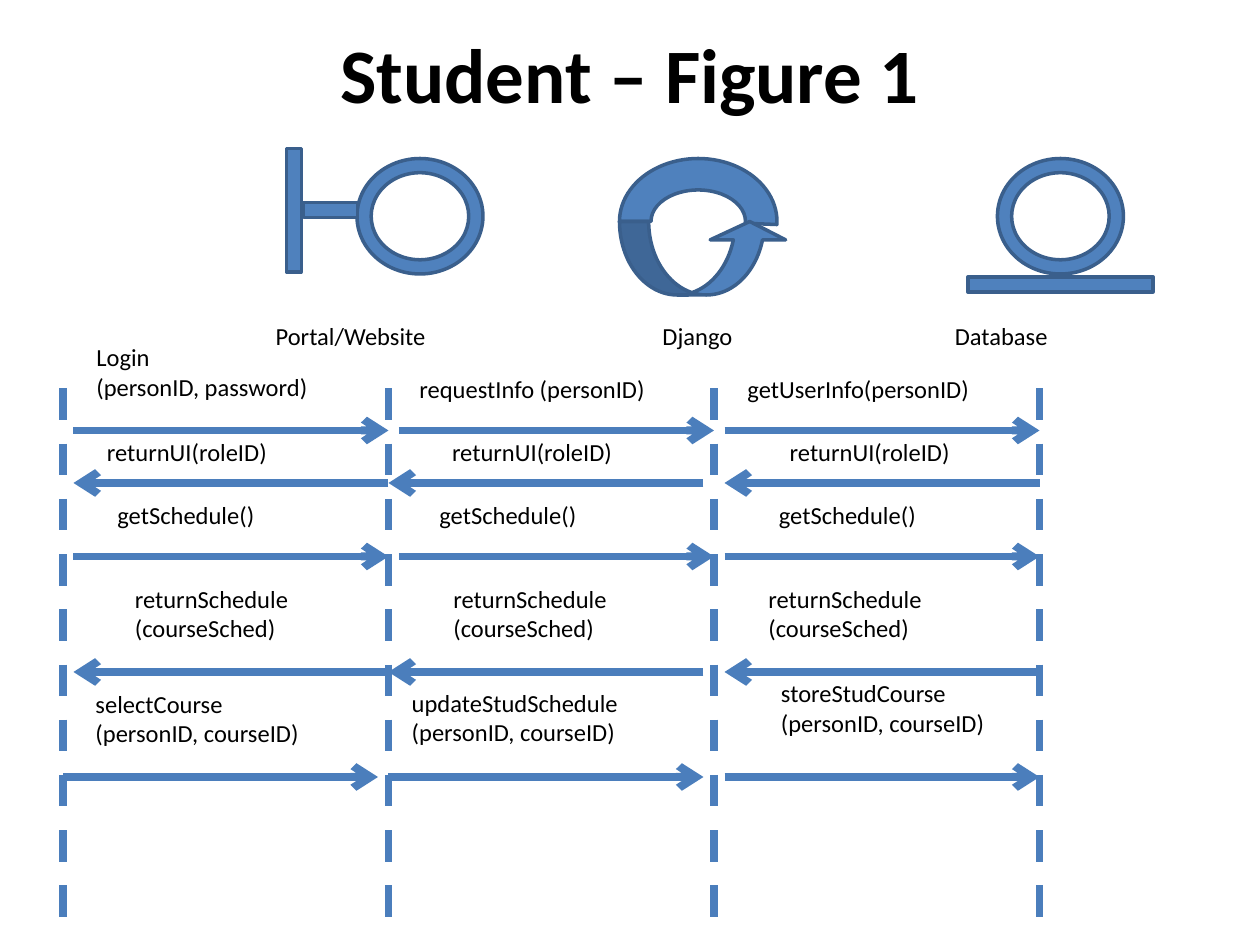
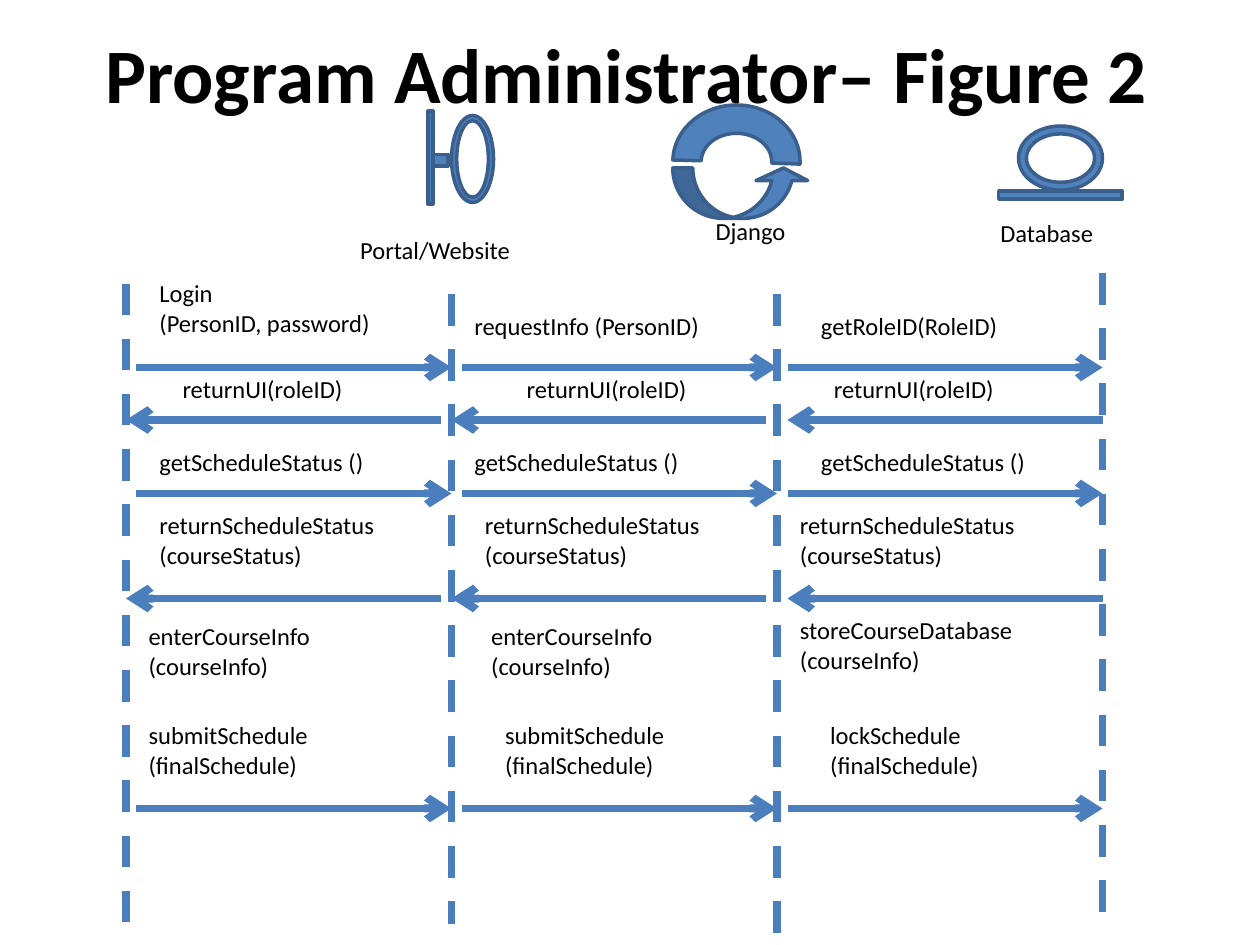
from dataclasses import dataclass
from typing import Optional

from lxml.etree import SubElement
from pptx import Presentation
from pptx.dml.color import RGBColor
from pptx.enum.dml import MSO_LINE
from pptx.enum.shapes import MSO_CONNECTOR, MSO_SHAPE
from pptx.enum.text import MSO_ANCHOR, PP_ALIGN
from pptx.oxml.ns import qn
from pptx.util import Pt

# Shared look, all lengths in points
COLORS = {"fill": "4F81BD", "outline": "3A5F8C", "line": "4B7EBC", "text": "000000"}
FONT = "Calibri"
LANE_WIDTH = 186
ARROW_LENGTH = 180
LIFELINE_BOTTOMS = (528, 528, 534, 534)
TITLE_ONLY_LAYOUT = 5
RING = (0.123,)
LOOP_ARROW = (0.397, 1.026, 0.25)


@dataclass
class IconPart:
    kind: MSO_SHAPE
    left: float
    top: float
    width: float
    height: float
    adjustments: tuple[float, ...] = ()
    rotation: int = 0


@dataclass
class Caption:
    text: str
    left: float
    top: float
    width: float
    wrap: bool = False


@dataclass
class MessageRow:
    captions: list[Caption]
    arrow_y: Optional[float] = None
    offsets: tuple[int, int, int] = (6, 6, 6)
    leftward: bool = False


@dataclass
class Diagram:
    title: str
    title_left: float
    title_width: float
    first_lifeline: float
    lifeline_tops: tuple[float, ...]
    icons: list[IconPart]
    participants: list[Caption]
    rows: list[MessageRow]


def repeat(text: str, lefts: tuple[float, ...], top: float, width: float,
           wrap: bool = False) -> list[Caption]:
    return [Caption(text, left, top, width, wrap) for left in lefts]


def color(name: str) -> RGBColor:
    return RGBColor.from_string(COLORS[name])


def add_text(paragraph, text: str, size: float, bold: bool = False) -> None:
    run = paragraph.add_run()
    run.text = text
    run.font.name = FONT
    run.font.size = Pt(size)
    run.font.bold = bold
    run.font.color.rgb = color("text")


def add_title(slide, text: str, left: float, width: float) -> None:
    shape = slide.shapes.title
    shape.left, shape.top, shape.width, shape.height = Pt(left), Pt(11.5), Pt(width), Pt(60.5)
    frame = shape.text_frame
    frame.word_wrap = False
    frame.vertical_anchor = MSO_ANCHOR.TOP
    paragraph = frame.paragraphs[0]
    paragraph.alignment = PP_ALIGN.CENTER
    add_text(paragraph, text, 44, bold=True)


def add_caption(slide, caption: Caption) -> None:
    lines = caption.text.split("\n")
    height = 24.2 if len(lines) == 1 else 41.2
    shape = slide.shapes.add_textbox(
        Pt(caption.left), Pt(caption.top), Pt(caption.width), Pt(height))
    frame = shape.text_frame
    frame.word_wrap = caption.wrap
    for index, line in enumerate(lines):
        paragraph = frame.paragraphs[0] if index == 0 else frame.add_paragraph()
        add_text(paragraph, line, 14)


def add_icon_part(slide, part: IconPart) -> None:
    shape = slide.shapes.add_shape(
        part.kind, Pt(part.left), Pt(part.top), Pt(part.width), Pt(part.height))
    shape.shadow.inherit = False
    shape.rotation = part.rotation
    for index, value in enumerate(part.adjustments):
        shape.adjustments[index] = value
    shape.fill.solid()
    shape.fill.fore_color.rgb = color("fill")
    shape.line.color.rgb = color("outline")
    shape.line.width = Pt(2)


def add_line(slide, start: tuple[float, float], end: tuple[float, float],
             arrow: bool) -> None:
    connector = slide.shapes.add_connector(
        MSO_CONNECTOR.STRAIGHT, Pt(start[0]), Pt(start[1]), Pt(end[0]), Pt(end[1]))
    connector.line.color.rgb = color("line")
    connector.line.width = Pt(4.5)
    if arrow:
        SubElement(connector.line._get_or_add_ln(), qn("a:tailEnd"), type="arrow")
    else:
        connector.line.dash_style = MSO_LINE.DASH
    SubElement(connector._element.spPr, qn("a:effectLst"))


def add_message_row(slide, row: MessageRow, first_lifeline: float) -> None:
    if row.arrow_y is not None:
        for lane, offset in enumerate(row.offsets):
            left = first_lifeline + lane * LANE_WIDTH + offset
            start, end = (left, row.arrow_y), (left + ARROW_LENGTH, row.arrow_y)
            if row.leftward:
                start, end = end, start
            add_line(slide, start, end, arrow=True)
    for caption in row.captions:
        add_caption(slide, caption)


def add_diagram(presentation, diagram: Diagram) -> None:
    slide = presentation.slides.add_slide(presentation.slide_layouts[TITLE_ONLY_LAYOUT])
    add_title(slide, diagram.title, diagram.title_left, diagram.title_width)
    for part in diagram.icons:
        add_icon_part(slide, part)
    for caption in diagram.participants:
        add_caption(slide, caption)
    for index, (top, bottom) in enumerate(zip(diagram.lifeline_tops, LIFELINE_BOTTOMS)):
        x = diagram.first_lifeline + index * LANE_WIDTH
        add_line(slide, (x, top), (x, bottom), arrow=False)
    for row in diagram.rows:
        add_message_row(slide, row, diagram.first_lifeline)


# Student sequence
student = Diagram(
    title="Student – Figure 1", title_left=185.8, title_width=348.5,
    first_lifeline=36, lifeline_tops=(222, 222, 222, 222),
    icons=[
        IconPart(MSO_SHAPE.DONUT, 204, 90.6, 72, 66, RING),
        IconPart(MSO_SHAPE.MATH_MINUS, 168, 102, 42, 36),
        IconPart(MSO_SHAPE.MATH_MINUS, 120, 102, 96, 36, rotation=270),
        IconPart(MSO_SHAPE.BLOCK_ARC, 354, 90.6, 90, 72, (108, 1.328, 0.25)),
        IconPart(MSO_SHAPE.CURVED_UP_ARROW, 354, 126.6, 96, 42, LOOP_ARROW),
        IconPart(MSO_SHAPE.DONUT, 570, 90.6, 72, 66, RING),
        IconPart(MSO_SHAPE.MATH_MINUS, 534, 144.6, 144, 36),
    ],
    participants=[
        Caption("Portal/Website", 150.4, 180, 101.5),
        Caption("Django", 371.5, 180, 54.7),
        Caption("Database", 538.5, 180, 68.4),
    ],
    rows=[
        MessageRow([Caption("Login\n(personID, password)", 48, 192, 136),
                    Caption("requestInfo (personID)", 232.6, 210, 144.7),
                    Caption("getUserInfo(personID)", 420, 210, 142.6)], 246),
        MessageRow(repeat("returnUI(roleID)", (54, 251.2, 444.2), 246, 106.6),
                   276, (6, 0, 6), leftward=True),
        MessageRow(repeat("getSchedule()", (60, 244, 438), 282.4, 93.6), 318),
        MessageRow(repeat("returnSchedule\n(courseSched)", (70, 252, 432), 330, 103),
                   384, (6, 0, 6), leftward=True),
        MessageRow([Caption("selectCourse\n(personID, courseID)", 47.5, 390, 131.8),
                    Caption("updateStudSchedule\n(personID, courseID)", 228.2, 389.5, 133.2),
                    Caption("storeStudCourse\n(personID, courseID)", 439.2, 384, 131.8)],
                   444, (0, 0, 6)),
    ],
)

# Program administrator sequence
administrator = Diagram(
    title="Program Administrator– Figure 2", title_left=50.4, title_width=615.6,
    first_lifeline=72, lifeline_tops=(162, 168, 168, 156),
    icons=[
        IconPart(MSO_SHAPE.DONUT, 258, 66, 24, 49.7, RING),
        IconPart(MSO_SHAPE.MATH_MINUS, 244, 77.8, 13.7, 27.4),
        IconPart(MSO_SHAPE.MATH_MINUS, 210, 84, 72, 12, rotation=270),
        IconPart(MSO_SHAPE.BLOCK_ARC, 384.5, 60, 72.7, 64.8, (108.907, 1.328, 0.25)),
        IconPart(MSO_SHAPE.CURVED_UP_ARROW, 384.5, 96, 78, 28.8, LOOP_ARROW),
        IconPart(MSO_SHAPE.DONUT, 582, 72, 48, 36.7, RING),
        IconPart(MSO_SHAPE.MATH_MINUS, 558, 101.5, 96, 20),
    ],
    participants=[
        Caption("Portal/Website", 198.7, 131, 101.5),
        Caption("Django", 401.8, 120, 54.7),
        Caption("Database", 564.5, 121, 68.4),
    ],
    rows=[
        MessageRow([Caption("Login\n(PersonID, password)", 84, 155.6, 136),
                    Caption("requestInfo (PersonID)", 264, 174, 144),
                    Caption("getRoleID(RoleID)", 462, 174, 116.6)], 210),
        MessageRow(repeat("returnUI(roleID)", (97.2, 293.8, 469.4), 210, 106.6),
                   240, (0, 0, 6), leftward=True),
        MessageRow(repeat("getScheduleStatus ()", (84, 264, 462), 252, 168, wrap=True), 282),
        MessageRow(repeat("returnScheduleStatus (courseStatus)", (84, 270, 450), 288, 180,
                          wrap=True), 342, (0, 0, 6), leftward=True),
        MessageRow(repeat("enterCourseInfo\n(courseInfo)", (77.8, 273.6), 351.4, 108)
                   + [Caption("storeCourseDatabase\n(courseInfo)", 450, 348, 137.5)]),
        MessageRow(repeat("submitSchedule\n(finalSchedule)", (77.8, 281.5), 408, 106.6)
                   + [Caption("lockSchedule\n(finalSchedule)", 467.3, 408, 100)], 462),
    ],
)

presentation = Presentation()
presentation.slide_width, presentation.slide_height = Pt(720), Pt(540)
for diagram in (student, administrator):
    add_diagram(presentation, diagram)
presentation.save("out.pptx")
